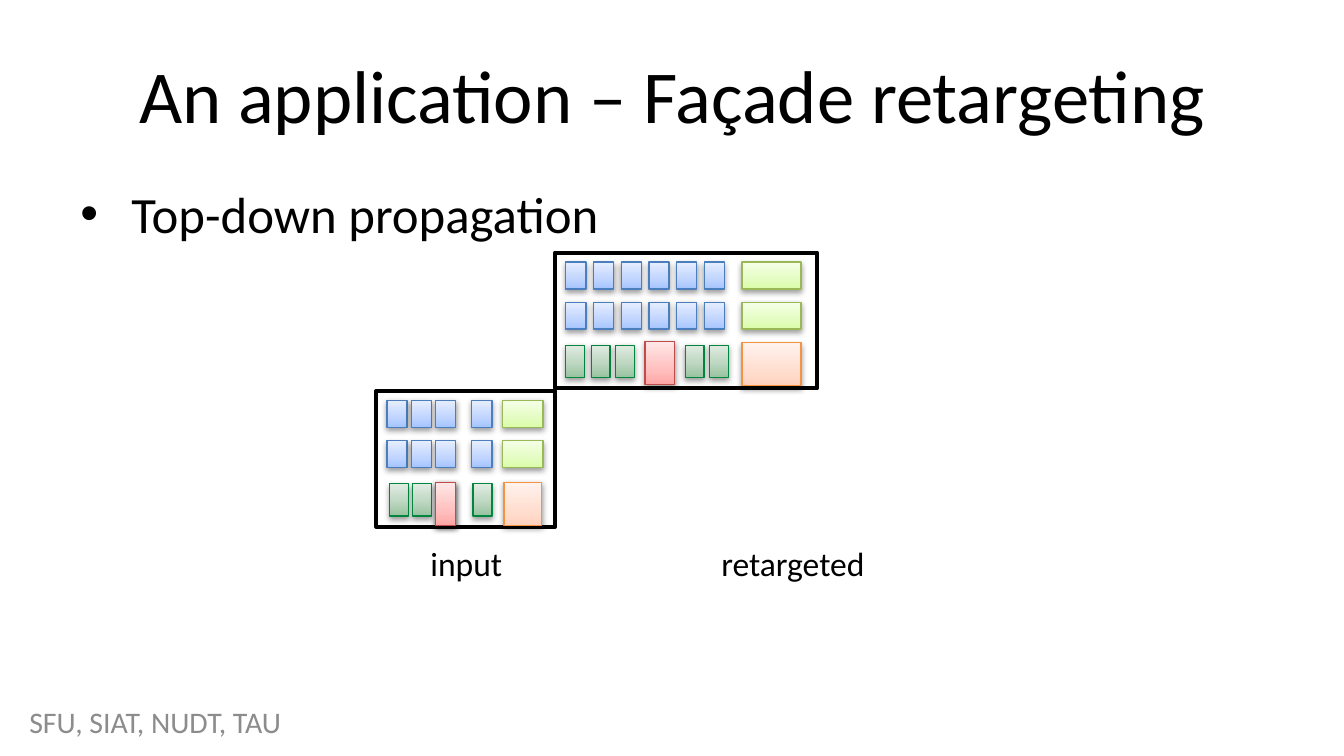
from dataclasses import dataclass

from lxml.etree import SubElement
from pptx import Presentation
from pptx.dml.color import RGBColor
from pptx.enum.shapes import MSO_SHAPE
from pptx.enum.text import MSO_ANCHOR, PP_ALIGN
from pptx.oxml.ns import qn
from pptx.util import Emu, Inches, Pt

COLORS = {"text": "000000", "muted": "8C8C8C", "frame": "000000", "shadow": "000000"}
# Per material: bottom, middle and top of the gradient, then the outline
MATERIALS = {
    "window": ("A4C4FF", "BFD4FF", "E6EEFF", "4B7EBC"),
    "balcony": ("DAFDA7", "E4FCC2", "F5FFE7", "98B955"),
    "garage": ("FFD2BD", "FFDED0", "FFF2ED", "F69240"),
    "shutter": ("97C39F", "C1D9C5", "E1ECE3", "00863D"),
    "door": ("FFA6A5", "FFC0BF", "FFE7E7", "BF4C48"),
}
MIDDLE_STOP = {"shutter": 50}
FLOORS = (0.07, 0.37)  # tops of the two upper floors inside a facade
FACADE_HEIGHT = 1.01


@dataclass
class Tiles:
    """Equal tiles at every crossing of the columns and rows of a facade."""
    material: str
    columns: tuple
    rows: tuple
    width: float
    height: float


@dataclass
class Facade:
    left: float
    top: float
    width: float
    tiles: tuple


@dataclass
class Label:
    text: str
    box: tuple
    size: float
    color: str = "text"
    align: PP_ALIGN = PP_ALIGN.CENTER
    anchor: MSO_ANCHOR = MSO_ANCHOR.TOP
    wrap: bool = True
    bullet: bool = False


FACADES = (
    Facade(4.13, 1.88, 1.95, (
        Tiles("window", tuple(0.08 + 1.03 * i / 5 for i in range(6)), FLOORS, 0.15, 0.2),
        Tiles("balcony", (1.39,), FLOORS, 0.44, 0.2),
        Tiles("garage", (1.39,), (0.67,), 0.44, 0.32),
        Tiles("shutter", (0.08, 0.27, 0.45, 0.97, 1.15), (0.69,), 0.14, 0.24),
        Tiles("door", (0.67,), (0.66,), 0.22, 0.32),
    )),
    Facade(2.8, 2.91, 1.33, (
        Tiles("window", (0.44,), (0.68,), 0.15, 0.32),
        Tiles("garage", (0.95,), (0.68,), 0.28, 0.32),
        Tiles("shutter", (0.1, 0.27, 0.72), (0.69,), 0.14, 0.24),
        Tiles("door", (0.44,), (0.68,), 0.15, 0.32),
        Tiles("balcony", (0.94,), FLOORS, 0.3, 0.2),
        Tiles("window", (0.08, 0.26, 0.44, 0.71), FLOORS, 0.15, 0.2),
    )),
)

LABELS = (
    Label("An application – Façade retargeting", (0.5, 0.23, 9, 0.94), 40,
          anchor=MSO_ANCHOR.MIDDLE),
    Label("Top-down propagation", (0.5, 1.31, 9, 0.49), 27.2,
          align=PP_ALIGN.LEFT, bullet=True),
    Label("input", (3.1, 3.99, 0.74, 0.4), 18, wrap=False),
    Label("retargeted", (5.26, 3.99, 1.28, 0.4), 18, wrap=False),
    Label("SFU, SIAT, NUDT, TAU", (0.12, 5.22, 2.36, 0.3), 16, "muted",
          PP_ALIGN.LEFT, MSO_ANCHOR.MIDDLE),
)


def add_rect(shapes, box: tuple, line: str, weight: float):
    s = shapes.add_shape(MSO_SHAPE.RECTANGLE, *map(Inches, box))
    s.shadow.inherit = False
    s.fill.background()
    s.line.color.rgb = RGBColor.from_string(line)
    s.line.width = Pt(weight)
    return s


def add_color(parent, color: str):
    return SubElement(parent, qn("a:srgbClr"), val=color)


def style_tile(s, material: str) -> None:
    """Fill with a three-stop upward gradient and drop a soft shadow."""
    s.fill.gradient()
    s.fill.gradient_angle = 90
    props = s._element.spPr
    stops = props.find(".//" + qn("a:gsLst"))
    for old in list(stops):
        stops.remove(old)
    positions = (0, MIDDLE_STOP.get(material, 35), 100)
    for position, color in zip(positions, MATERIALS[material]):
        add_color(SubElement(stops, qn("a:gs"), pos=str(position * 1000)), color)
    shadow = SubElement(props.find(qn("a:effectLst")), qn("a:outerShdw"),
                        blurRad=str(Pt(3.1)), dist=str(Pt(1.6)),
                        dir="5400000", rotWithShape="0")
    SubElement(add_color(shadow, COLORS["shadow"]), qn("a:alpha"), val="38000")


def draw_facade(slide, facade: Facade) -> None:
    shapes = slide.shapes.add_group_shape().shapes
    add_rect(shapes, (facade.left, facade.top, facade.width, FACADE_HEIGHT),
             COLORS["frame"], 2.25)
    for tiles in facade.tiles:
        for row in tiles.rows:
            for column in tiles.columns:
                box = (facade.left + column, facade.top + row, tiles.width, tiles.height)
                s = add_rect(shapes, box, MATERIALS[tiles.material][-1], 0.75)
                style_tile(s, tiles.material)


def draw_label(slide, label: Label) -> None:
    tf = slide.shapes.add_textbox(*map(Inches, label.box)).text_frame
    tf.word_wrap = label.wrap
    tf.vertical_anchor = label.anchor
    tf.text = label.text
    p = tf.paragraphs[0]
    p.alignment = label.align
    if label.bullet:
        props = p._p.get_or_add_pPr()
        indent = Inches(0.38)
        props.set("marL", str(indent))
        props.set("indent", str(Emu(-indent)))
        SubElement(props, qn("a:buFont"), typeface="Arial")
        SubElement(props, qn("a:buChar"), char="•")
    font = p.runs[0].font
    font.name = "Calibri"
    font.size = Pt(label.size)
    font.color.rgb = RGBColor.from_string(COLORS[label.color])


def main() -> None:
    prs = Presentation()
    prs.slide_width = Inches(10)
    prs.slide_height = prs.slide_width * 9 // 16
    slide = prs.slides.add_slide(prs.slide_layouts[6])
    for facade in FACADES:
        draw_facade(slide, facade)
    for label in LABELS:
        draw_label(slide, label)
    prs.save("out.pptx")


if __name__ == "__main__":
    main()
